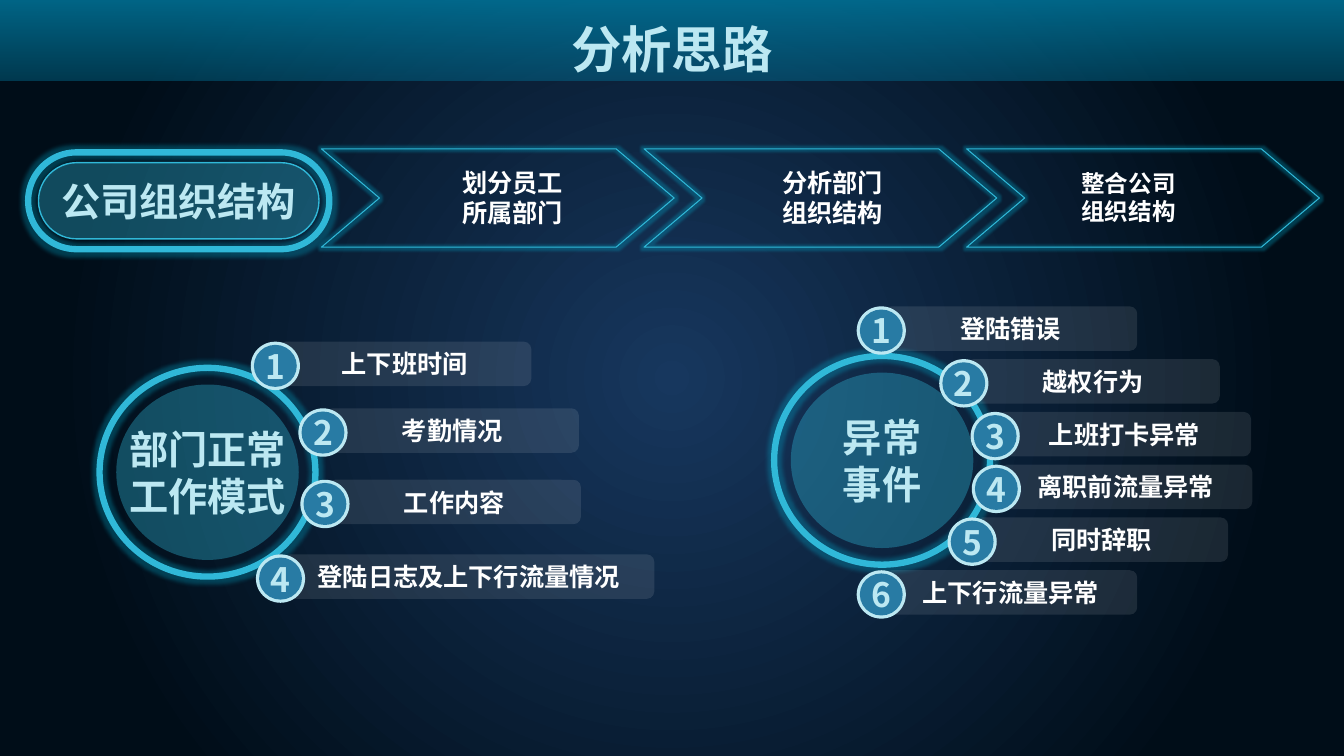
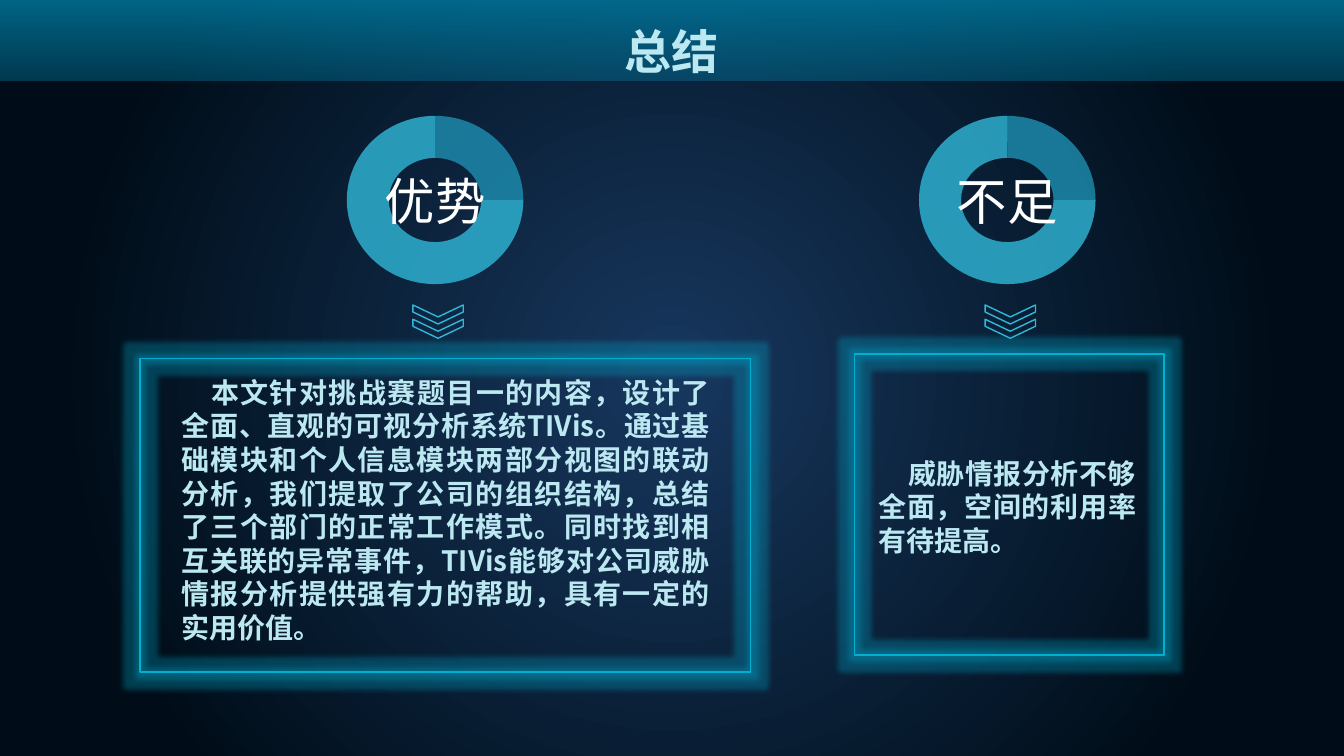
from dataclasses import dataclass

from lxml.etree import SubElement
from pptx import Presentation
from pptx.dml.color import RGBColor
from pptx.enum.shapes import MSO_SHAPE as SHAPE
from pptx.enum.text import MSO_ANCHOR as ANCHOR, MSO_AUTO_SIZE as FIT, PP_ALIGN as ALIGN
from pptx.oxml import parse_xml
from pptx.oxml.ns import nsdecls, qn
from pptx.util import Cm, Pt


@dataclass(frozen=True)
class Theme:
    font: str = "Noto Sans CJK SC"
    white: str = "FFFFFF"
    pale: str = "BCE8F2"
    cyan: str = "30B8D8"
    teal: str = "1E8FB2"
    frame: str = "00AFD2"
    badge: str = "046091"
    band: str = "007DA4"
    centre: str = "17375E"
    edge: str = "000D18"
    title_edge: str = "4EC3DE"
    title: float = 36
    title_small: float = 33.6
    heading: float = 28
    number: float = 24
    body: float = 20
    label: float = 18
    label_small: float = 16.8
    thin: float = 0.75
    line: float = 1
    thick: float = 4.5
    glow_arrow: float = 0.12
    glow_ring: float = 0.2
    glow_panel: float = 0.27
    glow_alpha: int = 30


T = Theme()
SLIDE_W, SLIDE_H = 33.87, 19.05
BAND_H = 2.03
TITLE_H = 1.96
LINEAR = '<a:lin ang="{}" scaled="0"/>'
RADIAL = ('<a:path path="circle"><a:fillToRect l="50000" t="50000" '
          'r="50000" b="50000"/></a:path>')


def rgb(color):
    return RGBColor.from_string(color)


def inset(box, gap):
    x, y, w, h = box
    return x + gap, y + gap, w - 2 * gap, h - 2 * gap


def use_gradient(parent, stops, direction):
    gs = "".join(
        f'<a:gs pos="{pos * 1000}"><a:srgbClr val="{color}">'
        f'<a:alpha val="{alpha * 1000}"/></a:srgbClr></a:gs>'
        for pos, color, alpha in stops)
    grad = parse_xml(f'<a:gradFill {nsdecls("a")} rotWithShape="1">'
                     f'<a:gsLst>{gs}</a:gsLst>{direction}</a:gradFill>')
    parent.replace(parent.find(qn("a:solidFill")), grad)


def write(sp, text, size, color=T.pale, bold=True, align=ALIGN.CENTER,
          wrap=True, margins=(0, 0), indent=0):
    tf = sp.text_frame
    tf.auto_size = FIT.NONE
    tf.word_wrap = wrap
    tf.vertical_anchor = ANCHOR.MIDDLE
    tf.margin_left = tf.margin_right = Cm(margins[0])
    tf.margin_top = tf.margin_bottom = Cm(margins[1])
    for i, line in enumerate(text.split("\n")):
        p = tf.add_paragraph() if i else tf.paragraphs[0]
        p.alignment = align
        p.space_before = Pt(0)
        r = p.add_run()
        r.text = line
        r.font.name = T.font
        r.font.size = Pt(size)
        r.font.bold = bold
        r.font.color.rgb = rgb(color)
    for pPr in sp.element.iter(qn("a:pPr")):
        pPr.set("indent", str(Cm(indent)))
    for rPr in sp.element.iter(qn("a:rPr")):
        SubElement(rPr, qn("a:ea")).set("typeface", T.font)


class Deck:
    def __init__(self):
        self.prs = Presentation()
        self.prs.slide_width = Cm(SLIDE_W)
        self.prs.slide_height = Cm(SLIDE_H)
        self.slide = None

    def style_master(self):
        master = self.prs.slide_master
        master.background.fill.solid()
        use_gradient(master.element.find(".//" + qn("p:bgPr")),
                     [(0, T.centre, 100), (80, T.edge, 100)], RADIAL)
        band = self.shape(SHAPE.RECTANGLE, (0, 0, SLIDE_W, BAND_H), fill=T.band)
        use_gradient(band.element.spPr, [(0, T.band, 80), (100, T.band, 39)],
                     LINEAR.format(90 * 60000))
        master.shapes.element.insert(2, band.element)

    def add_slide(self, title, size, top):
        title_only = self.prs.slide_layouts.get_by_name("Title Only")
        self.slide = self.prs.slides.add_slide(title_only)
        if len(self.prs.slides) == 1:
            self.style_master()
        sp = self.slide.shapes.title
        sp.left, sp.top, sp.width, sp.height = map(Cm, (0, top, SLIDE_W, TITLE_H))
        write(sp, title, size)
        stops = [(0, T.title_edge, 100), (40, T.pale, 100),
                 (60, T.pale, 100), (100, T.title_edge, 100)]
        for rPr in sp.element.iter(qn("a:rPr")):
            use_gradient(rPr, stops, LINEAR.format(0))

    def shape(self, kind, box, fill=None, alpha=100, line=None,
              weight=T.line, glow=0, adj=()):
        sp = self.slide.shapes.add_shape(kind, *map(Cm, box))
        sp.shadow.inherit = False
        for i, value in enumerate(adj):
            sp.adjustments[i] = value
        spPr = sp.element.spPr
        if fill:
            sp.fill.solid()
            sp.fill.fore_color.rgb = rgb(fill)
            color = spPr.find(qn("a:solidFill"))[0]
            SubElement(color, qn("a:alpha")).set("val", str(alpha * 1000))
        else:
            sp.fill.background()
        if line:
            sp.line.color.rgb = rgb(line)
            sp.line.width = Pt(weight)
        else:
            sp.line.fill.background()
        if glow:
            spPr.find(qn("a:effectLst")).append(parse_xml(
                f'<a:glow {nsdecls("a")} rad="{Cm(glow)}"><a:srgbClr val="{T.frame}">'
                f'<a:alpha val="{T.glow_alpha * 1000}"/></a:srgbClr></a:glow>'))
        return sp

    def text(self, box, text, size, **fmt):
        write(self.slide.shapes.add_textbox(*map(Cm, box)), text, size, **fmt)

    def arrow(self, box, text_box, text, size):
        self.shape(SHAPE.CHEVRON, box, line=T.cyan, weight=T.thin,
                   glow=T.glow_arrow, adj=[0.59])
        self.text(text_box, text, size, color=T.white, wrap=False)

    def framed(self, kind, box, gap, text, inner_line=None, adj=()):
        self.shape(kind, box, line=T.cyan, weight=T.thick, glow=T.glow_ring, adj=adj)
        core = self.shape(kind, inset(box, gap), fill=T.cyan, alpha=36,
                          line=inner_line, adj=adj)
        write(core, text, T.heading, wrap=False)

    def pill(self, box, text):
        self.framed(SHAPE.ROUNDED_RECTANGLE, box, 0.26, text,
                    inner_line=T.cyan, adj=[0.5])

    def ring(self, x, y, text):
        self.framed(SHAPE.OVAL, (x, y, 5.44, 5.26), 0.42, text)

    def item(self, number, x, y, text, bar_w=6.38):
        badge_box = (x, y, 1.24, 1.22)
        bar = self.shape(SHAPE.ROUNDED_RECTANGLE, (x + 0.69, y, bar_w, 1.12),
                         fill=T.white, alpha=10)
        write(bar, text, T.label, color=T.white, wrap=False)
        self.shape(SHAPE.OVAL, badge_box, fill=T.pale)
        badge = self.shape(SHAPE.OVAL, inset(badge_box, 0.08), fill=T.badge, alpha=80)
        write(badge, str(number), T.number, wrap=False)

    def donut(self, x, text):
        box = (x, 2.92, 4.45, 4.24)
        right, top = 0, 270 * 60000 / 100000
        for color, start, end in ((T.cyan, right, top), (T.teal, top, right)):
            self.shape(SHAPE.BLOCK_ARC, box, fill=color, alpha=80,
                       adj=[start, end, 0.25])
        self.text(box, text, T.title, color=T.white, bold=False)
        for i in range(2):
            chevron = self.shape(SHAPE.CHEVRON, (x + 2.06, 7.29 + 0.36 * i, 0.48, 1.27),
                                 line=T.cyan, adj=[0.63])
            chevron.rotation = 90

    def panel(self, frame, text_box, text):
        self.shape(SHAPE.RECTANGLE, frame, line=T.frame, glow=T.glow_panel)
        self.text(text_box, text, T.body, align=ALIGN.JUSTIFY,
                  margins=(0.25, 0.13), indent=0.75)


def analysis_slide(deck):
    deck.add_slide("分析思路", T.title, 0.24)

    first_arrow, arrow_pitch = 8.1, 8.13
    steps = [(11.12, "划分员工\n所属部门", T.label),
             (19.18, "分析部门\n组织结构", T.label),
             (26.64, "整合公司\n组织结构", T.label_small)]
    for i, (text_x, text, size) in enumerate(steps):
        arrow_box = (first_arrow + arrow_pitch * i, 3.75, 8.89, 2.48)
        deck.arrow(arrow_box, (text_x, 4.07, 3.6, 1.8), text, size)
    deck.pill((0.71, 3.84, 7.59, 2.44), "公司组织结构")

    deck.ring(2.51, 9.27, "部门正常\n工作模式")
    habits = [(6.32, 8.61, "上下班时间"),
              (7.52, 10.29, "考勤情况"),
              (7.57, 12.09, "工作内容"),
              (6.45, 13.97, "登陆日志及上下行流量情况", 9.35)]
    for number, habit in enumerate(habits, 1):
        deck.item(number, *habit)

    deck.ring(19.51, 8.97, "异常\n事件")
    first_event, event_pitch = 7.72, 1.33
    events = [(21.59, "登陆错误"), (23.67, "越权行为"), (24.46, "上班打卡异常"),
              (24.49, "离职前流量异常"), (23.88, "同时辞职"), (21.59, "上下行流量异常")]
    for i, (x, text) in enumerate(events):
        deck.item(i + 1, x, first_event + event_pitch * i, text)


def summary_slide(deck):
    deck.add_slide("总结", T.title_small, 0.29)
    verdicts = [
        (8.74, "优势", (3.53, 9.04, 15.39, 7.9), (4.32, 9.3, 13.82, 7.09),
         "本文针对挑战赛题目一的内容，设计了全面、直观的可视分析系统TIVis。"
         "通过基础模块和个人信息模块两部分视图的联动分析，我们提取了公司的组织结构，"
         "总结了三个部门的正常工作模式。同时找到相互关联的异常事件，"
         "TIVis能够对公司威胁情报分析提供强有力的帮助，具有一定的实用价值。"),
        (23.16, "不足", (21.54, 8.92, 7.8, 7.59), (21.89, 11.36, 6.99, 2.82),
         "威胁情报分析不够全面，空间的利用率有待提高。"),
    ]
    for x, heading, frame, text_box, text in verdicts:
        deck.donut(x, heading)
        deck.panel(frame, text_box, text)


def main():
    deck = Deck()
    analysis_slide(deck)
    summary_slide(deck)
    deck.prs.save("out.pptx")


if __name__ == "__main__":
    main()
